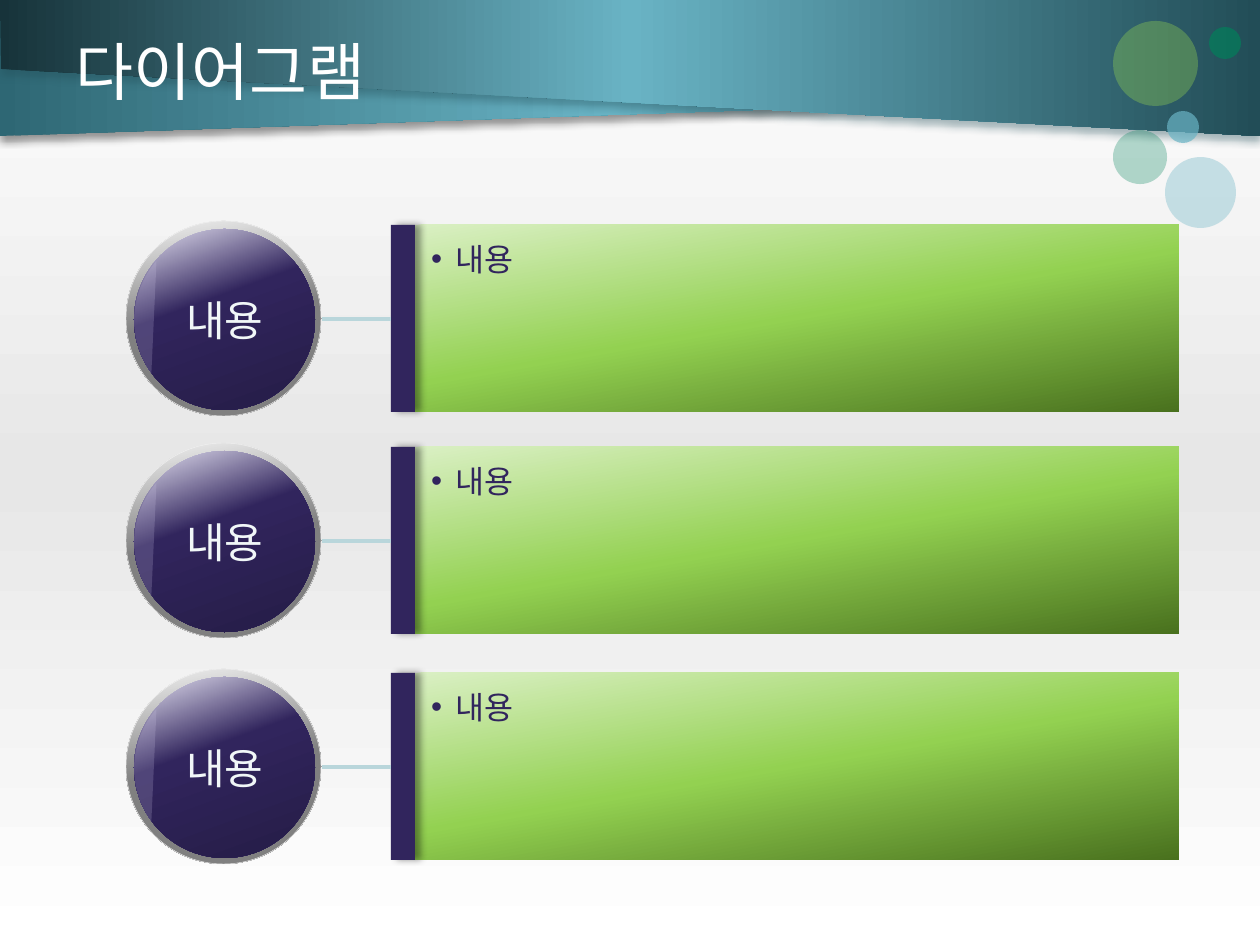
from lxml import etree
from pptx import Presentation
from pptx import util as u
from pptx.dml.color import RGBColor
from pptx.enum import shapes, text
from pptx.oxml.ns import qn

SCALE = 914400 / 126
WHITE = RGBColor(0xFF, 0xFF, 0xFF)
BLACK = RGBColor(0, 0, 0)
PALE = RGBColor(0xF2, 0xF2, 0xF2)
SILVER = RGBColor(0xE7, 0xE7, 0xE7)
GRAY = RGBColor(0x80, 0x80, 0x80)
NIGHT = RGBColor(0x17, 0x33, 0x3A)
DEEP = RGBColor(0x22, 0x4D, 0x57)
TEAL = RGBColor(0x2E, 0x67, 0x74)
AQUA = RGBColor(0x69, 0xB3, 0xC4)
MIST = RGBColor(0xB9, 0xD6, 0xDB)
ICE = RGBColor(0xF1, 0xF7, 0xF8)
MINT = RGBColor(0xB3, 0xFF, 0xE8)
JADE = RGBColor(0x00, 0x82, 0x5A)
LIME = RGBColor(0x93, 0xD1, 0x51)
LEAF = RGBColor(0xDB, 0xF0, 0xC5)
MOSS = RGBColor(0x49, 0x71, 0x1E)
LILAC = RGBColor(0xE7, 0xE4, 0xF4)
GLOSS = RGBColor(0xD0, 0xC9, 0xE9)
PLUM = RGBColor(0x31, 0x25, 0x5D)
INK = RGBColor(0x25, 0x1C, 0x46)

OVAL = shapes.MSO_SHAPE.OVAL
RECT = shapes.MSO_SHAPE.RECTANGLE
CHORD = shapes.MSO_SHAPE.CHORD


def px(*nums):
    return [u.Emu(round(n * SCALE)) for n in nums]


def add_tag(parent, name, **attrs):
    return etree.SubElement(parent, qn(name), {k: str(v) for k, v in attrs.items()})


def add_tint(parent, color, alpha):
    tint = add_tag(parent, "a:srgbClr", val=color)
    add_tag(tint, "a:alpha", val=alpha * 1000)


def blend(fill, angle, *stops):
    fill.gradient()
    fill.gradient_angle = -angle % 360
    grad = fill.gradient_stops[0]._gs.getparent()
    for old in list(grad):
        grad.remove(old)
    for pos, color in stops:
        stop = add_tag(grad, "a:gs", pos=pos * 1000)
        add_tag(stop, "a:srgbClr", val=color)


def paint(shape, color, alpha=100):
    shape.fill.solid()
    shape.fill.fore_color.rgb = color
    if alpha < 100:
        old = shape._element.spPr.find(qn("a:solidFill"))
        old.remove(old[0])
        add_tint(old, color, alpha)


def shade(shape, color, angle):
    glow = shape._element.spPr.find(qn("a:effectLst"))
    drop = add_tag(glow, "a:outerShdw", blurRad=u.Pt(4), dist=u.Pt(3),
                   dir=angle * 60000, algn="ctr", rotWithShape=0)
    add_tint(drop, color, 40)


def strip(shape):
    shape.shadow.inherit = False
    shape.line.fill.background()
    return shape


def add_form(slide, kind, *box):
    return strip(slide.shapes.add_shape(kind, *px(*box)))


def add_band(slide, points, edge, color):
    pen = slide.shapes.build_freeform(*points[0], scale=SCALE)
    pen.add_line_segments(points[1:], close=True)
    band = strip(pen.convert_to_shape())
    blend(band.fill, 0, (0, edge), (50, AQUA), (100, DEEP))
    shade(band, color, 90)


def write(shape, words, size, color, face="Arial", align=text.PP_ALIGN.LEFT,
          anchor=text.MSO_ANCHOR.MIDDLE, wrap=True, bullet=False):
    frame = shape.text_frame
    frame.word_wrap = wrap
    frame.auto_size = text.MSO_AUTO_SIZE.NONE
    frame.vertical_anchor = anchor
    para = frame.paragraphs[0]
    para.text = words
    para.alignment = align
    if bullet:
        props = para._p.get_or_add_pPr()
        indent = px(24)[0]
        props.set("marL", str(indent))
        props.set("indent", str(-indent))
        add_tag(props, "a:buFont", typeface="Arial")
        add_tag(props, "a:buChar", char="•")
    font = para.runs[0].font
    font.size = u.Pt(size)
    font.name = face
    font.color.rgb = color


def add_orb(slide, top, words):
    ring = add_form(slide, OVAL, 126, top, 195, 195)
    blend(ring.fill, 80, (0, PALE), (50, GRAY), (100, GRAY))
    ring.line.color.rgb = PALE
    ring.line.width = u.Pt(0.25)
    ball = add_form(slide, OVAL, 134, top + 8, 181, 181)
    blend(ball.fill, 70, (0, LILAC), (40, PLUM), (100, INK))
    shine = add_form(slide, CHORD, 134, top + 9, 181, 181)
    shine.rotation = 90
    for i, angle in enumerate((53.95, 131.3)):
        shine.adjustments[i] = angle * 0.6
    paint(shine, GLOSS, 20)
    label = slide.shapes.add_textbox(*px(171, top + 67, 108, 63))
    write(label, words, 24, ICE, align=text.PP_ALIGN.CENTER, wrap=False)


def add_panel(slide, top, words):
    panel = add_form(slide, RECT, 401, top, 778, 187)
    blend(panel.fill, 80, (0, LEAF), (50, LIME), (100, MOSS))
    frame = panel.text_frame
    frame.margin_left, frame.margin_top = px(30, 15)
    write(panel, words, 18, PLUM, anchor=text.MSO_ANCHOR.TOP, bullet=True)
    bar = add_form(slide, RECT, 391, top, 24, 187)
    paint(bar, PLUM)
    shade(bar, BLACK, 0)


def add_link(slide, y):
    link = slide.shapes.add_connector(
        shapes.MSO_CONNECTOR.STRAIGHT, *px(322, y, 391, y))
    link.line.color.rgb = MIST
    link.line.width = u.Pt(2.25)
    add_tag(link._element.spPr, "a:effectLst")


def add_decor(slide):
    blend(slide.background.fill, 90, (0, WHITE), (50, SILVER), (100, WHITE))
    add_band(slide, [(0, 0), (1218, 94), (0, 136)], TEAL, BLACK)
    add_band(slide, [(1260, 0), (0, 0), (1, 69), (1260, 136)], NIGHT, DEEP)
    dots = [(1155, 231, 19, MINT, 82), (1113, 130, 54, JADE, 29),
            (1165, 157, 71, AQUA, 35), (1167, 111, 32, AQUA, 70),
            (1113, 21, 85, LIME, 36), (1209, 27, 32, JADE, 65)]
    for left, top, size, color, alpha in dots[1:]:
        paint(add_form(slide, OVAL, left, top, size, size), color, alpha)


def add_title(slide, words):
    title = slide.shapes.title
    title.left, title.top, title.width, title.height = px(63, 10, 1134, 120)
    write(title, words, 36, WHITE, face="Roboto")
    slide.shapes._spTree.append(title._element)


def main():
    deck = Presentation()
    deck.slide_width, deck.slide_height = px(1260, 945)
    slide = deck.slides.add_slide(deck.slide_layouts[5])
    add_decor(slide)
    add_title(slide, "다이어그램")
    for top in (221, 443, 669):
        add_orb(slide, top, "내용")
        add_panel(slide, top + 4, "내용")
        add_link(slide, top + 98)
    deck.save("out.pptx")


if __name__ == "__main__":
    main()
